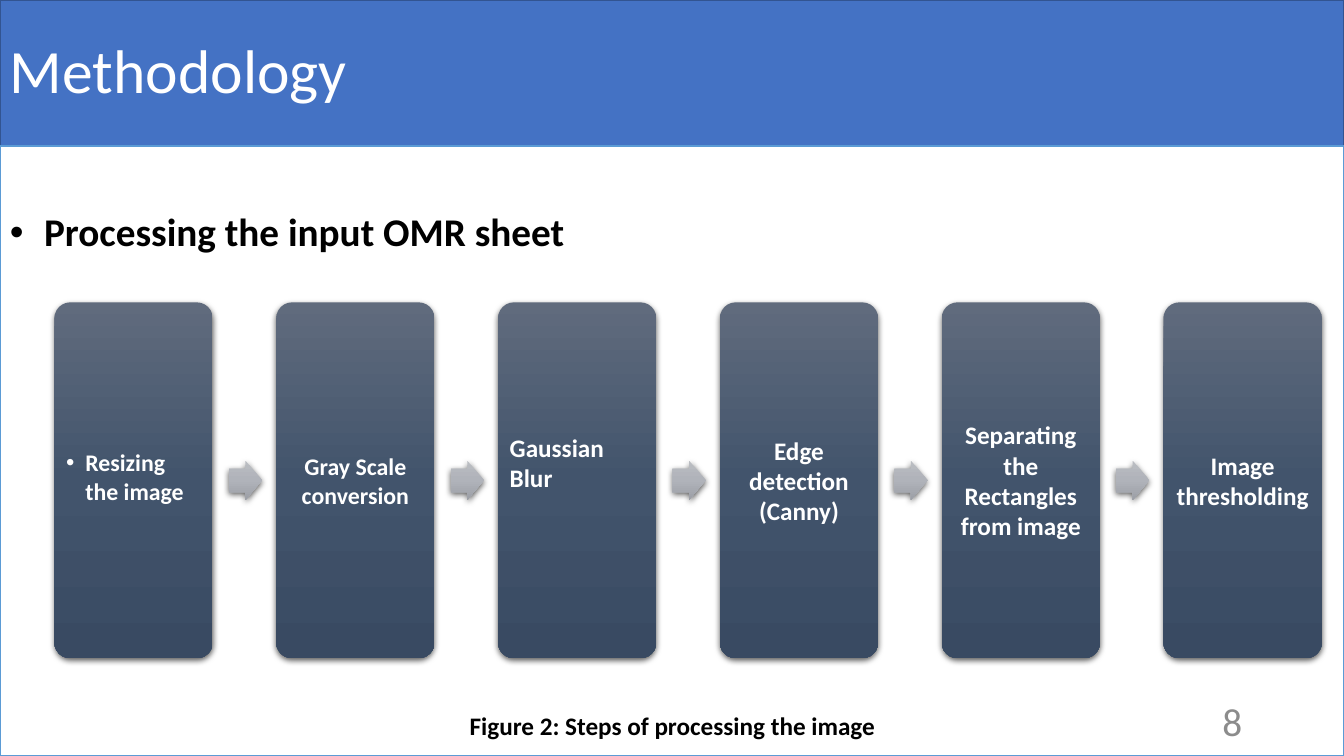
from lxml import etree
from pptx import Presentation
from pptx.dml.color import RGBColor
from pptx.enum.shapes import MSO_SHAPE
from pptx.enum.text import MSO_ANCHOR, PP_ALIGN
from pptx.oxml import parse_xml
from pptx.oxml.ns import nsdecls, qn
from pptx.util import Inches, Pt

RECT, ROUND, ARROW = MSO_SHAPE.RECTANGLE, MSO_SHAPE.ROUNDED_RECTANGLE, MSO_SHAPE.RIGHT_ARROW
TOP, MIDDLE = MSO_ANCHOR.TOP, MSO_ANCHOR.MIDDLE
LEFT, CENTER, RIGHT = PP_ALIGN.LEFT, PP_ALIGN.CENTER, PP_ALIGN.RIGHT

FONT = "Calibri"
WHITE, BLACK, BLUE, GRAY = "FFFFFF", "000000", "4472C4", "8C8C8C"
CARD_FILL = ("606B7D", "42546C", "394A62")
ARROW_FILL = ("BABDC2", "B0B3BA", "9C9FA6")

WIDTH, HEAD = 13.33, 1.45
CARD_X, CARD_Y, CARD_W, CARD_H = 0.54, 3, 1.57, 3.53
ARROW_W, ARROW_H = 0.33, 0.39
PITCH = 2.2

# Each step: its words and how they differ from centred 18 pt text
STEPS = [
    ("Resizing the image",
     dict(size=17, align=LEFT, anchor=TOP, top=1.4, bullet=0.19)),
    ("Gray Scale conversion", dict(size=17)),
    ("Gaussian Blur", dict(align=LEFT, anchor=TOP, top=1.24)),
    ("Edge detection (Canny)", {}),
    ("Separating the Rectangles from image", {}),
    ("Image thresholding", {}),
]


def color(code):
    return RGBColor.from_string(code)


def write(shape, text, size=18, ink=WHITE, bold=True, align=CENTER,
          anchor=MIDDLE, side=0.1, top=0.05, bullet=0, lines=None):
    frame = shape.text_frame
    frame.word_wrap = True
    frame.vertical_anchor = anchor
    frame.margin_left = frame.margin_right = Inches(side)
    frame.margin_top, frame.margin_bottom = Inches(top), Inches(0.05)
    para = frame.paragraphs[0]
    para.alignment = align
    if lines:
        para.line_spacing = lines
    if bullet:
        props = para._p.get_or_add_pPr()
        props.set("marL", str(Inches(bullet)))
        props.set("indent", str(-Inches(bullet)))
        etree.SubElement(props, qn("a:buFont")).set("typeface", "Arial")
        etree.SubElement(props, qn("a:buChar")).set("char", "•")
    run = para.add_run()
    run.text = text
    font = run.font
    font.name, font.size, font.bold = FONT, Pt(size), bold
    font.color.rgb = color(ink)


def add_panel(slide, y, height, fill, edge):
    panel = slide.shapes.add_shape(RECT, 0, Inches(y), Inches(WIDTH), Inches(height))
    panel.shadow.inherit = False
    panel.fill.solid()
    panel.fill.fore_color.rgb = color(fill)
    panel.line.color.rgb = color(edge)
    panel.line.width = Pt(1)
    return panel


def add_block(slide, kind, x, y, width, height, adjust, shades):
    """Add a borderless shape with a vertical gradient and a soft shadow."""
    block = slide.shapes.add_shape(
        kind, Inches(x), Inches(y), Inches(width), Inches(height))
    for i, value in enumerate(adjust):
        block.adjustments[i] = value
    block.line.fill.background()
    stops = "".join(
        f'<a:gs pos="{i * 50000}"><a:srgbClr val="{shade}"/></a:gs>'
        for i, shade in enumerate(shades))
    props = block._element.spPr
    props.find(qn("a:prstGeom")).addnext(parse_xml(
        f'<a:gradFill {nsdecls("a")} rotWithShape="1"><a:gsLst>{stops}</a:gsLst>'
        '<a:lin ang="5400000" scaled="0"/></a:gradFill>'))
    props.append(parse_xml(
        f'<a:effectLst {nsdecls("a")}><a:outerShdw blurRad="{Pt(4.5)}" '
        f'dist="{Pt(1.5)}" dir="5400000" algn="ctr" rotWithShape="0">'
        f'<a:srgbClr val="{BLACK}"><a:alpha val="63000"/></a:srgbClr>'
        '</a:outerShdw></a:effectLst>'))
    return block


def add_label(slide, text, x, y, width, **style):
    box = slide.shapes.add_textbox(Inches(x), Inches(y), Inches(width), Inches(0.4))
    write(box, text, **style)


def add_flow(slide):
    for i, (text, style) in enumerate(STEPS):
        x = CARD_X + i * PITCH
        card = add_block(slide, ROUND, x, CARD_Y, CARD_W, CARD_H, [0.1], CARD_FILL)
        write(card, text, side=0.07, **style)
        if i < len(STEPS) - 1:
            add_block(slide, ARROW, x + CARD_W + 0.16, CARD_Y + (CARD_H - ARROW_H) / 2,
                      ARROW_W, ARROW_H, [0.6, 0.5], ARROW_FILL)


def main():
    deck = Presentation()
    deck.slide_width, deck.slide_height = Inches(WIDTH), Inches(7.5)
    slide = deck.slides.add_slide(deck.slide_layouts[6])

    # Title band and body panel
    title = add_panel(slide, 0, HEAD, BLUE, "325491")
    write(title, "Methodology", size=44, bold=False, align=LEFT, lines=0.9)
    body = add_panel(slide, HEAD, 7.5 - HEAD, WHITE, "5B9BD5")
    write(body, "Processing the input OMR sheet", size=28, ink=BLACK, align=LEFT,
          anchor=TOP, top=0.66, bullet=0.34, lines=0.9)

    # Process steps
    add_flow(slide)

    # Caption and page number
    add_label(slide, "Figure 2: Steps of processing the image", 4.32, 7, 4.7,
              ink=BLACK, anchor=TOP)
    add_label(slide, "8", 9.42, 6.95, 3, size=28, ink=GRAY, bold=False, align=RIGHT)

    deck.save("out.pptx")


if __name__ == "__main__":
    main()
